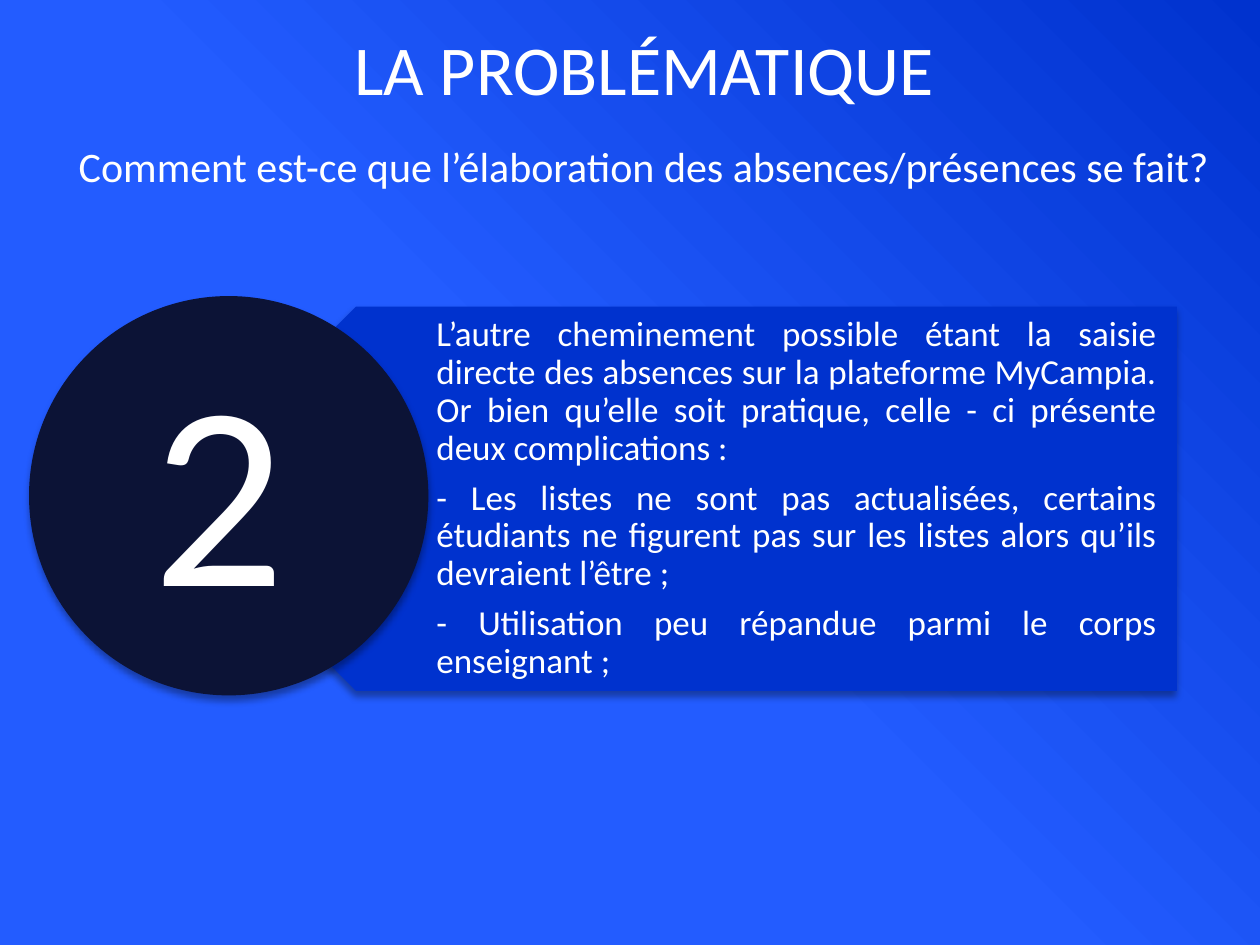
from dataclasses import dataclass

from lxml import etree
from pptx import Presentation
from pptx import util as u
from pptx.dml.color import RGBColor
from pptx.enum import shapes, text
from pptx.oxml import ns

ALIGN = text.PP_ALIGN
POINTS = [
    "L’autre cheminement possible étant la saisie directe des absences sur la plateforme MyCampia. "
    "Or bien qu’elle soit pratique, celle - ci présente deux complications :",
    "- Les listes ne sont pas actualisées, certains étudiants ne figurent pas sur les listes "
    "alors qu’ils devraient l’être ;",
    "- Utilisation peu répandue parmi le corps enseignant ;",
]


@dataclass(frozen=True)
class Theme:
    """Colours, font and type sizes of the slide."""

    light: str = "235CFF"
    panel: str = "0032CE"
    disc: str = "0C1336"
    ink: str = "FFFFFF"
    font: str = "Calibri"
    title: int = 40
    subtitle: int = 24
    body: int = 20
    number: int = 150


THEME = Theme()


def set_attributes(target, values):
    """Set each named attribute of an object."""
    for name, value in values.items():
        setattr(target, name, value)


def paint_background(slide):
    """Fill the slide with a diagonal blue gradient."""
    fill = slide.background.fill
    fill.gradient()
    fill.gradient_angle = 45
    for stop, position, colour in zip(fill.gradient_stops, (0.48, 1), (THEME.light, THEME.panel)):
        stop.position = position
        stop.color.rgb = RGBColor.from_string(colour)


def add_text(slide, box, lines, size, frame_format=None, paragraph_format=None):
    """Place paragraphs of one size in a wrapped text box."""
    frame = slide.shapes.add_textbox(*map(u.Pt, box)).text_frame
    set_attributes(frame, {"word_wrap": True, **(frame_format or {})})
    for index, line in enumerate(lines):
        paragraph = frame.paragraphs[0] if index == 0 else frame.add_paragraph()
        paragraph.text = line
        set_attributes(paragraph, paragraph_format or {})
        set_attributes(paragraph.font, {"name": THEME.font, "size": u.Pt(size)})
        paragraph.font.color.rgb = RGBColor.from_string(THEME.ink)


def add_shadowed(slide, kind, box, colour):
    """Place a borderless shape with a soft shadow below it."""
    shape = slide.shapes.add_shape(kind, *map(u.Pt, box))
    shape.fill.solid()
    shape.fill.fore_color.rgb = RGBColor.from_string(colour)
    shape.line.fill.background()
    shape.shadow.inherit = False
    effects = shape.element.spPr.find(ns.qn("a:effectLst"))
    shadow = etree.SubElement(
        effects, ns.qn("a:outerShdw"),
        blurRad=str(u.Pt(4)), dist=str(u.Pt(3)), dir="5400000", rotWithShape="0",
    )
    black = etree.SubElement(shadow, ns.qn("a:srgbClr"), val="000000")
    etree.SubElement(black, ns.qn("a:alpha"), val="35000")
    return shape


def add_heading(slide, box):
    """Place the title and the question under it."""
    left, top, width, height = box
    middle = {"vertical_anchor": text.MSO_ANCHOR.MIDDLE}
    centred = {"alignment": ALIGN.CENTER}
    add_text(slide, (left + 163.5, top, 350, 62.6), ["LA PROBLÉMATIQUE"],
             THEME.title, middle, centred)
    add_text(slide, (left, top + height - 48, width, 48),
             ["Comment est-ce que l’élaboration des absences/présences se fait?"],
             THEME.subtitle, middle, centred)


def add_numbered_panel(slide, box, number, lines):
    """Place an arrow panel of text behind a numbered disc."""
    left, top, width, height = box
    panel_top, panel_height = top + 6, height - 8.6
    panel_left = left + 77
    panel = add_shadowed(slide, shapes.MSO_SHAPE.PENTAGON,
                         (panel_left, panel_top, width - 77, panel_height), THEME.panel)
    panel.rotation = 180
    add_text(
        slide, (left + 132, panel_top, width - 132, panel_height), lines, THEME.body,
        {"vertical_anchor": text.MSO_ANCHOR.MIDDLE,
         "margin_left": u.Pt(100.8), "margin_right": u.Pt(11.5),
         "margin_top": u.Pt(6), "margin_bottom": u.Pt(6)},
        {"alignment": ALIGN.JUSTIFY, "line_spacing": 0.9, "space_after": u.Pt(7)},
    )
    add_shadowed(slide, shapes.MSO_SHAPE.OVAL, (left, top, height, height), THEME.disc)
    add_text(slide, (left + 63.5, top + 12.4, 104.4, 189.4), [number], THEME.number)


def main():
    """Build the slide and save it."""
    presentation = Presentation()
    set_attributes(presentation, {"slide_width": u.Pt(720), "slide_height": u.Pt(540)})
    slide = presentation.slides.add_slide(presentation.slide_layouts[6])
    paint_background(slide)
    add_heading(slide, (29.5, 7.2, 676.8, 111.6))
    add_numbered_panel(slide, (16.6, 169.2, 655.9, 228.2), "2", POINTS)
    presentation.save("out.pptx")


if __name__ == "__main__":
    main()
